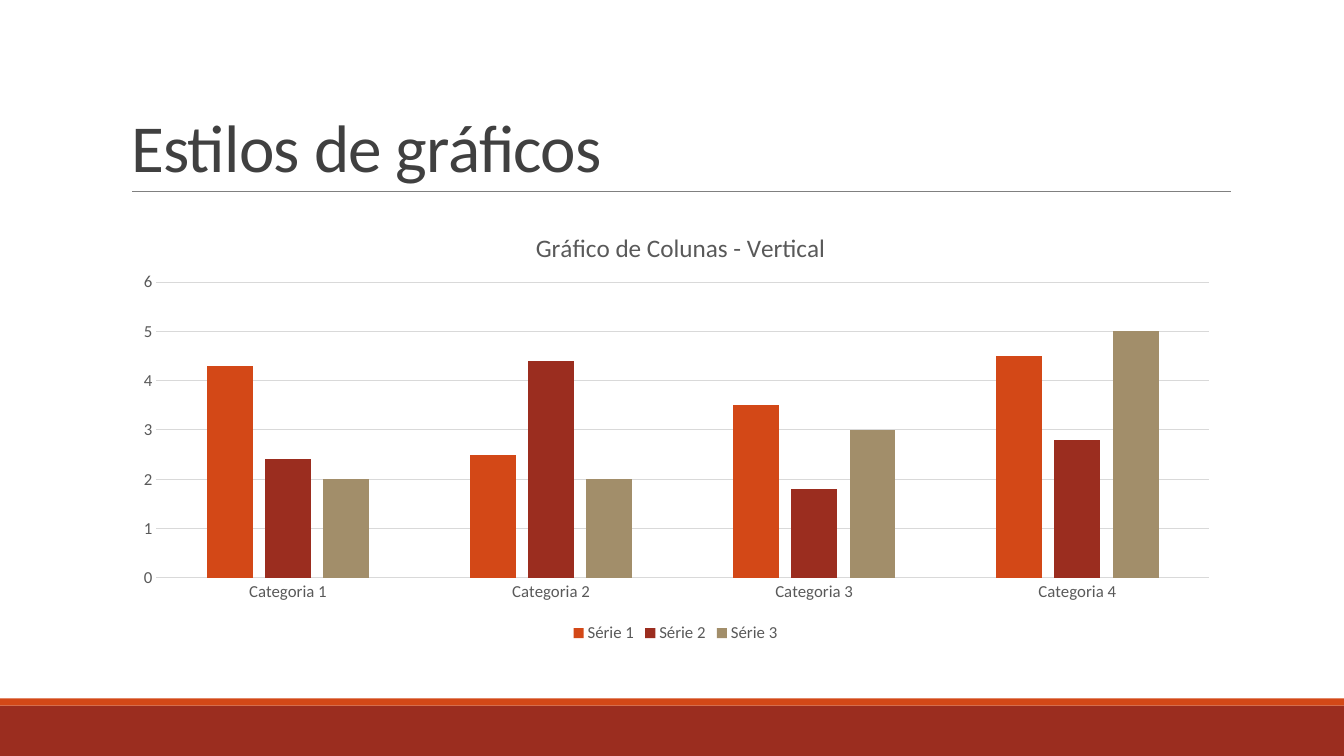
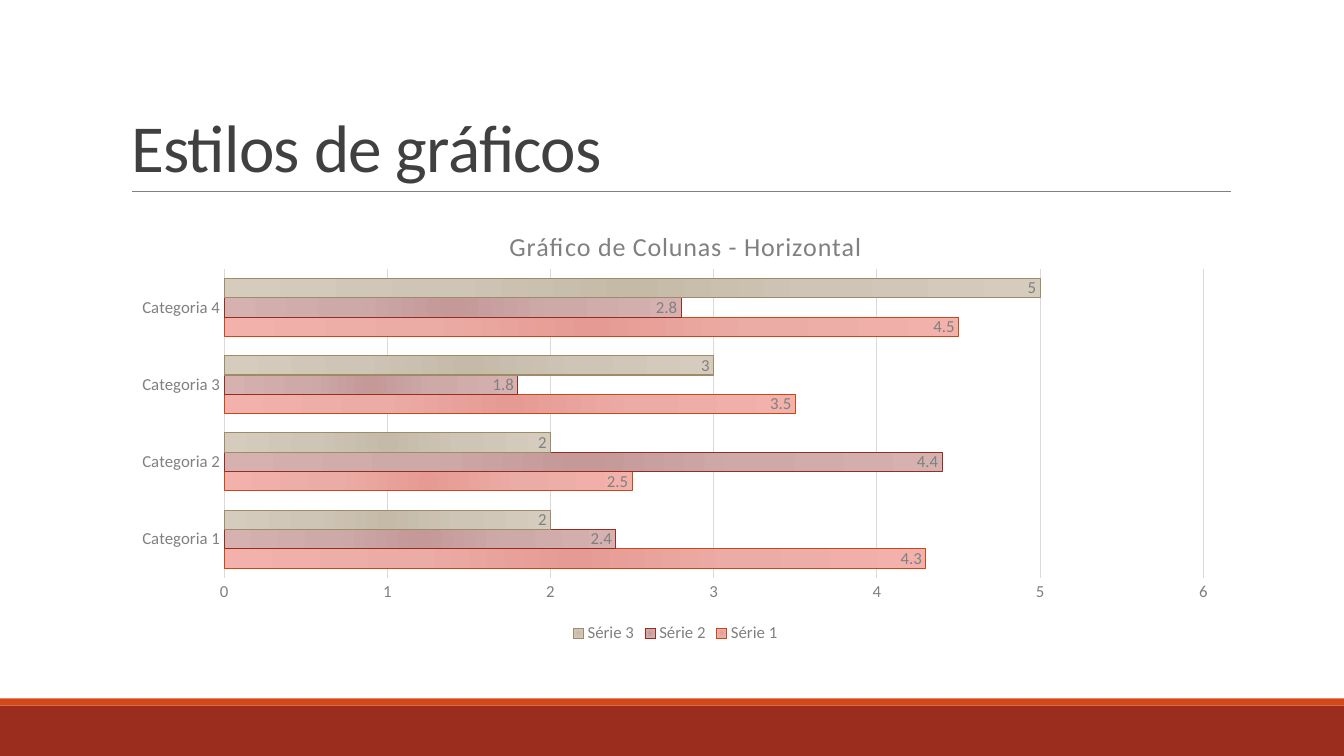
from dataclasses import dataclass

from pptx import Presentation
from pptx.chart.data import CategoryChartData
from pptx.dml.color import RGBColor
from pptx.enum.chart import (XL_CHART_TYPE, XL_LABEL_POSITION,
                             XL_LEGEND_POSITION, XL_TICK_MARK)
from pptx.enum.shapes import MSO_CONNECTOR, MSO_SHAPE
from pptx.enum.text import MSO_ANCHOR, MSO_AUTO_SIZE, PP_ALIGN
from pptx.oxml import parse_xml
from pptx.oxml.ns import nsdecls, qn
from pptx.util import Inches, Pt

COLUMN = XL_CHART_TYPE.COLUMN_CLUSTERED
BAR = XL_CHART_TYPE.BAR_CLUSTERED
INSIDE = XL_LABEL_POSITION.INSIDE_END
BOTTOM = XL_LEGEND_POSITION.BOTTOM
NO_TICK = XL_TICK_MARK.NONE
RECT = MSO_SHAPE.RECTANGLE
LINE = MSO_CONNECTOR.STRAIGHT

# Shared style
WIDTH, HEIGHT = Inches(13.33), Inches(7.5)
FACE = "Calibri"
HEX = {"rust": "9B2D1F", "orange": "D34817", "sand": "A28E6A",
       "title": "404040", "gray": "808080", "dark": "595959", "grid": "D9D9D9"}
LEFT, SPAN = 1.2, 11
STOPS = (0, 45, 100)

# Chart data
GROUPS = [f"Categoria {n}" for n in range(1, 5)]
VALUES = {"Série 1": (4.3, 2.5, 3.5, 4.5),
          "Série 2": (2.4, 4.4, 1.8, 2.8),
          "Série 3": (2, 2, 3, 5)}


@dataclass
class Paint:
    fill: tuple[str, ...]
    edge: str = ""


@dataclass
class Graph:
    kind: int
    title: str
    size: float
    track: int
    ink: str
    gap: int
    lap: int
    head: dict[str, float]
    plot: dict[str, float]
    paints: list[Paint]


@dataclass
class Band:
    top: float
    tall: float
    color: str


BANDS = [Band(7, 0.5, "rust"), Band(6.93, 0.07, "orange")]
GRAPHS = [
    Graph(COLUMN, "Gráfico de Colunas - Vertical", 18, 0, "dark", 219, -27,
          {"x": 0.37, "y": 0.05},
          {"x": 0.032, "y": 0.177, "w": 0.949, "h": 0.667},
          [Paint((HEX[c],)) for c in ("orange", "rust", "sand")]),
    Graph(BAR, "Gráfico de Colunas - Horizontal", 18.6, 50, "gray", 100, 0,
          {"x": 0.346, "y": 0.045},
          {"x": 0.093, "y": 0.147, "w": 0.883, "h": 0.697},
          [Paint(("E59B93", "EBACA5", "F2B1AA"), "CE4616"),
           Paint(("C49998", "CDAAA8", "D5B1B0"), "982C1E"),
           Paint(("C5BAA8", "CFC5B6", "D6CCBD"), "9E8B68")]),
]


def rgb(color: str) -> RGBColor:
    return RGBColor.from_string(HEX.get(color, color))


def style(font, size: float, color: str) -> None:
    form = {"name": FACE, "size": Pt(size), "bold": False}
    for name, value in form.items():
        setattr(font, name, value)
    font.color.rgb = rgb(color)


def stroke(line, color: str, width: float) -> None:
    line.color.rgb = rgb(color)
    line.width = Pt(width)


def place(node, spot: dict[str, float], index: int, inner: bool = False) -> None:
    """Set the position of a chart part as shares of the chart."""
    for old in node.findall(qn("c:layout")):
        node.remove(old)
    target = '<c:layoutTarget val="inner"/>' if inner else ""
    modes = "".join(f'<c:{k}Mode val="edge"/>' for k in "xy")
    sizes = "".join(f'<c:{k} val="{v}"/>' for k, v in spot.items())
    node.insert(index, parse_xml(
        f'<c:layout {nsdecls("c")}><c:manualLayout>{target}{modes}{sizes}'
        '</c:manualLayout></c:layout>'))


def glow(row, colors: tuple[str, ...]) -> None:
    """Give a series a circular gradient."""
    stops = "".join(f'<a:gs pos="{p * 1000}"><a:srgbClr val="{c}"/></a:gs>'
                    for p, c in zip(STOPS, colors))
    sides = " ".join(f'{s}="100000"' for s in "ltrb")
    row.format.fill.solid()
    solid = row._element.spPr.find(qn("a:solidFill"))
    solid.getparent().replace(solid, parse_xml(
        f'<a:gradFill {nsdecls("a")}><a:gsLst>{stops}</a:gsLst>'
        f'<a:path path="circle"><a:fillToRect {sides}/></a:path></a:gradFill>'))


def frame(slide) -> None:
    # Footer bands
    for band in BANDS:
        box = slide.shapes.add_shape(RECT, 0, Inches(band.top), WIDTH,
                                     Inches(band.tall))
        box.shadow.inherit = False
        box.fill.solid()
        box.fill.fore_color.rgb = rgb(band.color)
        box.line.fill.background()
    # Rule below the title
    rule = slide.shapes.add_connector(LINE, Inches(1.31), Inches(1.9),
                                      Inches(12.21), Inches(1.9))
    stroke(rule.line, "gray", 0.5)
    rule._element.spPr.append(parse_xml(f'<a:effectLst {nsdecls("a")}/>'))


def head(slide, text: str) -> None:
    title = slide.shapes.title
    spot = {"left": LEFT, "top": 0.31, "width": SPAN, "height": 1.59}
    for name, value in spot.items():
        setattr(title, name, Inches(value))
    body = title.text_frame
    form = {"text": text, "word_wrap": True, "auto_size": MSO_AUTO_SIZE.NONE,
            "vertical_anchor": MSO_ANCHOR.BOTTOM}
    for name, value in form.items():
        setattr(body, name, value)
    para = body.paragraphs[0]
    para.alignment = PP_ALIGN.LEFT
    para.line_spacing = 0.85
    run = para.runs[0]
    style(run.font, 48, "title")
    run._r.get_or_add_rPr().set("spc", "-50")


def draw(slide, graph: Graph) -> None:
    data = CategoryChartData()
    data.categories = GROUPS
    for name, values in VALUES.items():
        data.add_series(name, values)
    chart = slide.shapes.add_chart(graph.kind, Inches(LEFT), Inches(2.02),
                                   Inches(SPAN), Inches(4.4), data).chart
    style(chart.font, 10, "000000")

    # Chart title and legend
    title = chart.chart_title
    title.text_frame.text = graph.title
    run = title.text_frame.paragraphs[0].runs[0]
    style(run.font, graph.size, graph.ink)
    run._r.get_or_add_rPr().set("spc", str(graph.track))
    place(title._element, graph.head, 1)
    chart.has_legend = True
    chart.legend.position = BOTTOM
    chart.legend.include_in_layout = False
    style(chart.legend.font, 12, graph.ink)

    # Axes
    cat, val = chart.category_axis, chart.value_axis
    for axis in (cat, val):
        axis.major_tick_mark = axis.minor_tick_mark = NO_TICK
        style(axis.tick_labels.font, 12, graph.ink)
    stroke(cat.format.line, "grid", 0.75)
    form = {"minimum_scale": 0, "maximum_scale": 6, "major_unit": 1,
            "has_major_gridlines": True}
    for name, value in form.items():
        setattr(val, name, value)
    stroke(val.major_gridlines.format.line, "grid", 0.75)
    val.format.line.fill.background()

    # Bars
    plot = chart.plots[0]
    plot.gap_width, plot.overlap = graph.gap, graph.lap
    plot.vary_by_categories = False
    place(plot._element.getparent(), graph.plot, 0, True)
    for row, paint in zip(plot.series, graph.paints):
        row.invert_if_negative = False
        if not paint.edge:
            row.format.fill.solid()
            row.format.fill.fore_color.rgb = rgb(paint.fill[0])
            continue
        glow(row, paint.fill)
        stroke(row.format.line, paint.edge, 0.75)
        label = row.data_labels
        label.show_value = True
        label.position = INSIDE
        style(label.font, 12, graph.ink)


def main() -> None:
    deck = Presentation()
    deck.slide_width, deck.slide_height = WIDTH, HEIGHT
    for graph in GRAPHS:
        slide = deck.slides.add_slide(deck.slide_layouts[5])
        frame(slide)
        head(slide, "Estilos de gráficos")
        draw(slide, graph)
    deck.save("out.pptx")


if __name__ == "__main__":
    main()
